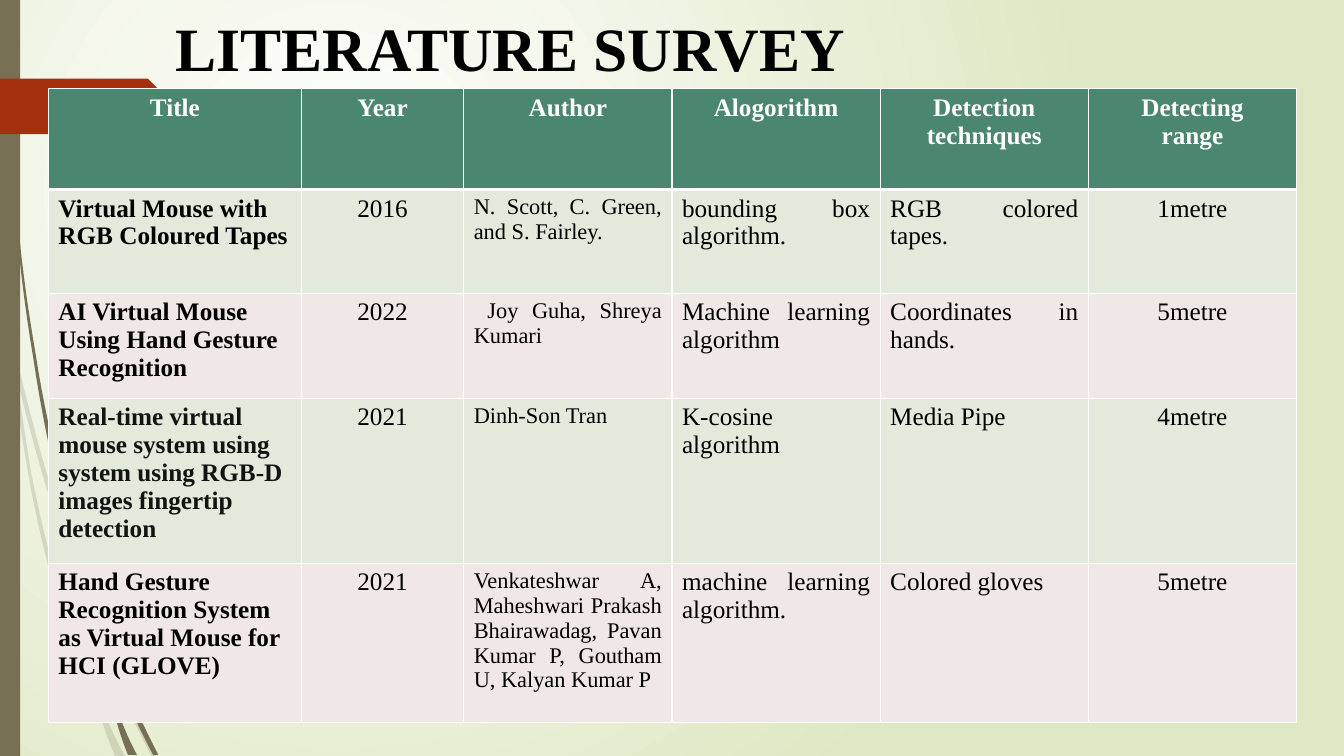
from dataclasses import dataclass

from lxml import etree
from pptx import Presentation
from pptx.dml.color import RGBColor
from pptx.enum.shapes import MSO_SHAPE
from pptx.enum.text import MSO_ANCHOR, PP_ALIGN
from pptx.oxml.ns import qn
from pptx.util import Inches, Pt

LEFT, CENTER, JUSTIFY = PP_ALIGN.LEFT, PP_ALIGN.CENTER, PP_ALIGN.JUSTIFY
MIDDLE = MSO_ANCHOR.MIDDLE
RECTANGLE, PENTAGON = MSO_SHAPE.RECTANGLE, MSO_SHAPE.PENTAGON

# Content
TITLE = "LITERATURE SURVEY"
HEADERS = ["Title", "Year", "Author", "Alogorithm", "Detection techniques", "Detecting\nrange"]
PAPERS = [
    ["Virtual Mouse with RGB Coloured Tapes", "2016", "N. Scott, C. Green, and S. Fairley.",
     "bounding box algorithm.", "RGB colored tapes.", "1metre"],
    ["AI Virtual Mouse Using Hand Gesture Recognition", "2022", " Joy Guha, Shreya Kumari",
     "Machine learning algorithm", "Coordinates in hands.", "5metre"],
    ["Real-time virtual mouse system using system using RGB-D images fingertip detection",
     "2021", "Dinh-Son Tran", "K-cosine algorithm", "Media Pipe", "4metre"],
    ["Hand Gesture Recognition System as Virtual Mouse for HCI (GLOVE)", "2021",
     "Venkateshwar A, Maheshwari Prakash Bhairawadag, Pavan Kumar P, Goutham U, Kalyan Kumar P",
     "machine learning algorithm.", "Colored gloves", "5metre"],
]
COLUMN_ALIGN = [LEFT, CENTER, JUSTIFY, JUSTIFY, JUSTIFY, CENTER]
AUTHOR_COLUMN = 2
DARK_TITLE_ROW = 3

# Wisps in inches: a start point, then three points for each curve
PALE_WISPS = [
    [(0.58, 5.22), (0.66, 5.48), (0.75, 5.73), (0.84, 5.99), (0.84, 5.95), (0.84, 5.91),
     (0.85, 5.86), (0.77, 5.64), (0.69, 5.42), (0.62, 5.2), (0.43, 4.63), (0.28, 4.04),
     (0.14, 3.45), (0.15, 3.55), (0.16, 3.66), (0.17, 3.76), (0.29, 4.25), (0.42, 4.74),
     (0.58, 5.22)],
    [(0.92, 6.07), (0.91, 6.03), (0.89, 6), (0.88, 5.96), (0.88, 6.01), (0.88, 6.05),
     (0.88, 6.1), (0.99, 6.39), (1.1, 6.66), (1.23, 6.94), (1.31, 7.13), (1.41, 7.32),
     (1.5, 7.5), (1.52, 7.5), (1.53, 7.5), (1.55, 7.5), (1.45, 7.31), (1.36, 7.12),
     (1.27, 6.92), (1.15, 6.64), (1.03, 6.36), (0.92, 6.07)],
    [(0.93, 6.83), (0.84, 6.62), (0.77, 6.41), (0.7, 6.19), (0.53, 5.7), (0.41, 5.2),
     (0.31, 4.69), (0.26, 4.38), (0.21, 4.07), (0.17, 3.76), (0.15, 3.67), (0.13, 3.59),
     (0.11, 3.5), (0.15, 3.9), (0.21, 4.3), (0.28, 4.7), (0.37, 5.21), (0.49, 5.71),
     (0.65, 6.21), (0.73, 6.46), (0.82, 6.7), (0.92, 6.93), (0.95, 7.01), (0.98, 7.07),
     (1.01, 7.14), (1, 7.12), (0.99, 7.1), (0.99, 7.07), (0.96, 6.99), (0.94, 6.91),
     (0.93, 6.83)],
    [(0.93, 6.83), (0.94, 6.91), (0.96, 6.99), (0.99, 7.07), (1.03, 7.22), (1.08, 7.36),
     (1.14, 7.5), (1.17, 7.5), (1.21, 7.5), (1.24, 7.5), (1.17, 7.38), (1.11, 7.25),
     (1.05, 7.11), (1.02, 7.05), (0.98, 6.95), (0.93, 6.83)],
]
DARK_WISPS = [
    [(0.07, 1.1), (0.09, 1.51), (0.12, 1.92), (0.17, 2.33), (0.21, 2.74), (0.26, 3.14),
     (0.33, 3.55), (0.39, 3.96), (0.47, 4.36), (0.56, 4.77), (0.57, 4.78), (0.57, 4.8),
     (0.57, 4.81), (0.57, 4.73), (0.55, 4.65), (0.55, 4.53), (0.48, 4.2), (0.41, 3.88),
     (0.36, 3.55), (0.29, 3.14), (0.23, 2.74), (0.19, 2.32), (0.14, 1.91), (0.1, 1.51),
     (0.08, 1.09), (0.06, 0.73), (0.04, 0.36), (0.04, 0), (0.04, 0), (0.03, 0),
     (0.03, 0), (0.03, 0.36), (0.05, 0.73), (0.07, 1.1)],
    [(1.13, 6.49), (1.12, 6.46), (1.11, 6.44), (1.1, 6.41), (1.1, 6.46), (1.1, 6.51),
     (1.11, 6.56), (1.17, 6.74), (1.24, 6.91), (1.32, 7.08), (1.38, 7.22), (1.45, 7.36),
     (1.52, 7.49), (1.54, 7.49), (1.55, 7.49), (1.57, 7.49), (1.5, 7.35), (1.43, 7.21),
     (1.36, 7.06), (1.28, 6.87), (1.21, 6.68), (1.13, 6.49)],
    [(1.1, 6.91), (1.12, 7), (1.14, 7.09), (1.16, 7.17), (1.19, 7.28), (1.23, 7.39),
     (1.27, 7.49), (1.3, 7.49), (1.33, 7.49), (1.36, 7.49), (1.31, 7.4), (1.26, 7.29),
     (1.22, 7.19), (1.18, 7.1), (1.14, 7.01), (1.1, 6.91)],
]


@dataclass(frozen=True)
class Theme:
    font: str = "Times New Roman"
    title_size: int = 44
    body_size: int = 18
    author_size: int = 16
    ink: str = "000000"
    soft_ink: str = "131313"
    white: str = "FFFFFF"
    glow: str = "DFE8C4"
    olive: str = "766F54"
    rust: str = "A53010"
    header: str = "4B866E"
    bands: tuple = ("E3E9DB", "F0E8E7")


theme = Theme()
WIDTH, HEIGHT = 13.33, 7.5
TABLE_LEFT, TABLE_TOP, TABLE_WIDTH = 0.48, 0.88, 12.38
FIRST_WIDTHS = [2.51, 1.61]
ROW_HEIGHTS = [1.0, 1.03, 1.04, 1.64, 1.58]


def paint(shape, color, alpha=None):
    shape.shadow.inherit = False
    shape.fill.solid()
    shape.fill.fore_color.rgb = RGBColor.from_string(color)
    shape.line.fill.background()
    if alpha:
        tint = shape.element.spPr.find(".//" + qn("a:srgbClr"))
        etree.SubElement(tint, qn("a:alpha"), val=str(alpha * 1000))


def style(para, size, color, bold, align):
    para.alignment = align
    para.font.name = theme.font
    para.font.size = Pt(size)
    para.font.bold = bold
    para.font.color.rgb = RGBColor.from_string(color)


def curve_points(wisp, steps=6):
    points = []
    for i in range(0, len(wisp) - 1, 3):
        for step in range(1, steps + 1):
            t = step / steps
            weights = ((1 - t) ** 3, 3 * t * (1 - t) ** 2, 3 * t * t * (1 - t), t ** 3)
            points.append(tuple(Inches(sum(w * p[axis] for w, p in zip(weights, wisp[i:i + 4])))
                                for axis in (0, 1)))
    return points


def draw_wisp(page, wisp, alpha=None):
    points = curve_points(wisp)
    builder = page.shapes.build_freeform(*points[0])
    builder.add_line_segments(points[1:], close=True)
    paint(builder.convert_to_shape(), theme.olive, alpha)


def add_borders(cell, widths):
    properties = cell._tc.get_or_add_tcPr()
    for side, width in widths.items():
        line = etree.SubElement(properties, qn("a:ln" + side), w=str(Pt(width)))
        fill = etree.SubElement(line, qn("a:solidFill"))
        etree.SubElement(fill, qn("a:srgbClr"), val=theme.white)


def fill_background(page):
    fill = page.background.fill
    fill.gradient()
    for stop, color, position in zip(fill.gradient_stops, (theme.white, theme.glow), (0, 1)):
        stop.color.rgb = RGBColor.from_string(color)
        stop.position = position
    linear = page.element.find(".//" + qn("a:lin"))
    radial = etree.Element(qn("a:path"), path="circle")
    etree.SubElement(radial, qn("a:fillToRect"), l="50000", t="50000", r="100000", b="100000")
    linear.getparent().replace(linear, radial)


def draw_table(page):
    rows = [HEADERS] + PAPERS
    table = page.shapes.add_table(len(rows), len(HEADERS), Inches(TABLE_LEFT), Inches(TABLE_TOP),
                                  Inches(TABLE_WIDTH), Inches(sum(ROW_HEIGHTS))).table
    table.horz_banding = False
    rest = len(HEADERS) - len(FIRST_WIDTHS)
    widths = FIRST_WIDTHS + [(TABLE_WIDTH - sum(FIRST_WIDTHS)) / rest] * rest
    for column, width in zip(table.columns, widths):
        column.width = Inches(width)
    for r, texts in enumerate(rows):
        table.rows[r].height = Inches(ROW_HEIGHTS[r])
        is_header = r == 0
        for c, text in enumerate(texts):
            cell = table.cell(r, c)
            add_borders(cell, {"L": 1, "R": 1, "T": 3 if r == 1 else 1, "B": 3 if is_header else 1})
            cell.fill.solid()
            band = theme.header if is_header else theme.bands[(r - 1) % 2]
            cell.fill.fore_color.rgb = RGBColor.from_string(band)
            cell.text_frame.text = text
            size = theme.author_size if c == AUTHOR_COLUMN and not is_header else theme.body_size
            ink = theme.soft_ink if (r, c) == (DARK_TITLE_ROW, 0) else theme.ink
            for para in cell.text_frame.paragraphs:
                style(para, size, theme.white if is_header else ink, is_header or c == 0,
                      CENTER if is_header else COLUMN_ALIGN[c])


def main():
    deck = Presentation()
    deck.slide_width, deck.slide_height = Inches(WIDTH), Inches(HEIGHT)
    page = deck.slides.add_slide(deck.slide_layouts[5])
    fill_background(page)

    # Decoration along the left edge
    for wisp in PALE_WISPS:
        draw_wisp(page, wisp, alpha=20)
    for wisp in DARK_WISPS:
        draw_wisp(page, wisp)
    paint(page.shapes.add_shape(RECTANGLE, 0, 0, Inches(0.2), Inches(HEIGHT)), theme.olive)
    paint(page.shapes.add_shape(PENTAGON, 0, Inches(0.78), Inches(1.74), Inches(0.55)), theme.rust)

    # Title
    title = page.shapes.title
    title.left, title.top, title.width, title.height = map(Inches, (1.64, 0.04, 7.66, 0.84))
    title.text_frame.text = TITLE
    title.text_frame.vertical_anchor = MIDDLE
    style(title.text_frame.paragraphs[0], theme.title_size, theme.ink, True, LEFT)

    # Survey table
    draw_table(page)
    deck.save("out.pptx")


if __name__ == "__main__":
    main()
